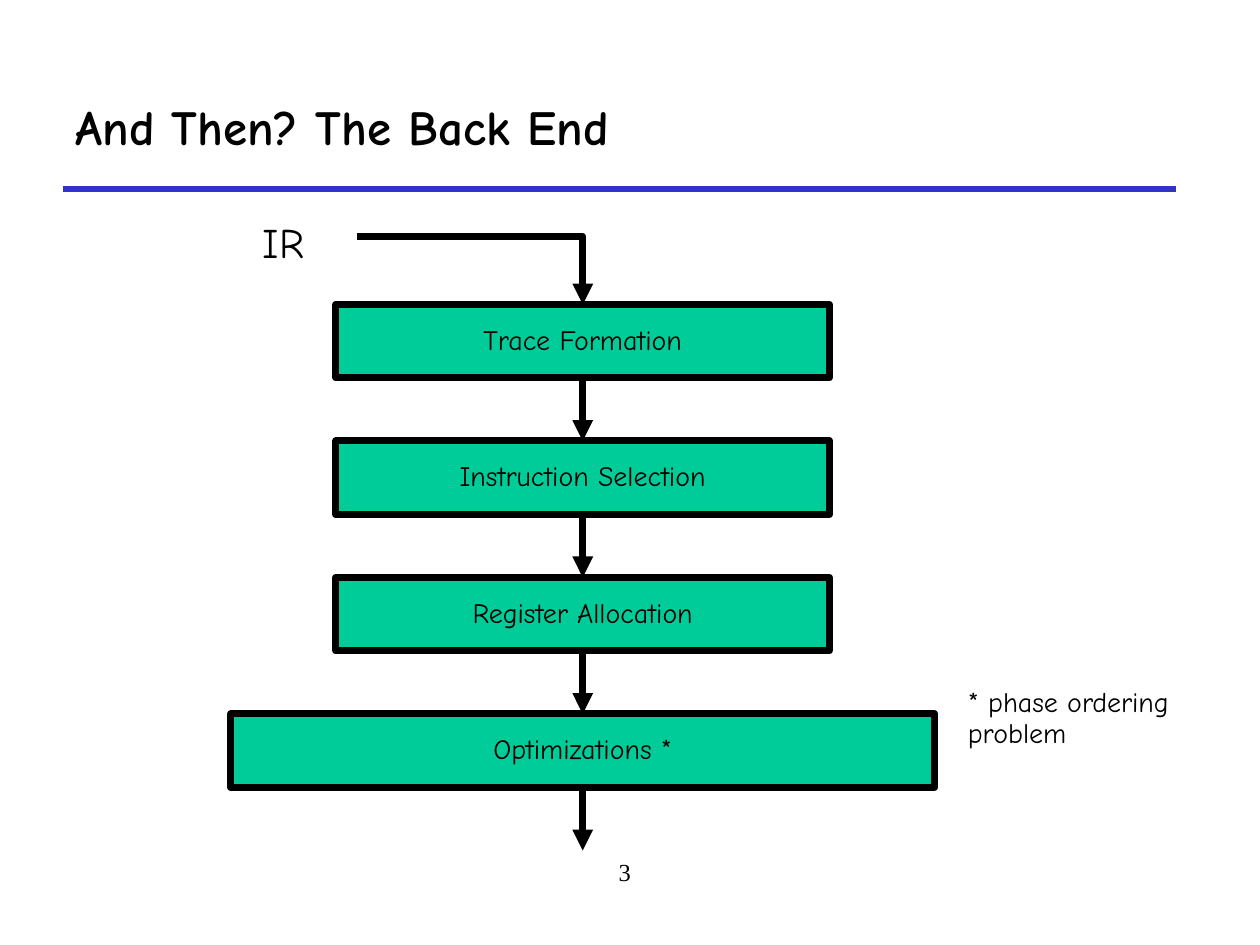
from lxml import etree
from pptx import Presentation
from pptx.dml.color import RGBColor
from pptx.enum.shapes import MSO_CONNECTOR as Conn, MSO_SHAPE as Shape
from pptx.enum.text import MSO_ANCHOR as Anchor, PP_ALIGN as Align
from pptx.oxml.ns import qn
from pptx.util import Pt

TOP, BOTTOM = 0, 2


def color(code):
    return RGBColor.from_string(code)


class Deck:
    font, ink, fill, rule = "Comic Neue", "000000", "00CC99", "3333CC"

    def __init__(self, wide, high):
        self.prs = Presentation()
        self.prs.slide_width, self.prs.slide_height = Pt(wide), Pt(high)
        self.slide = self.prs.slides.add_slide(self.prs.slide_layouts[6])

    def letter(self, frame, text, size, align=Align.LEFT, font=None,
               bold=False, space=1.0):
        """Fill a text frame with one styled paragraph."""
        para = frame.paragraphs[0]
        para.text = text
        para.alignment, para.line_spacing = align, space
        face = para.font
        face.name, face.size, face.bold = font or self.font, Pt(size), bold
        face.color.rgb = color(self.ink)

    def label(self, text, left, top, wide, high, size,
              anchor=Anchor.TOP, **style):
        box = self.slide.shapes.add_textbox(
            Pt(left), Pt(top), Pt(wide), Pt(high))
        box.text_frame.word_wrap = True
        box.text_frame.vertical_anchor = anchor
        self.letter(box.text_frame, text, size, **style)

    def stage(self, text, mid, top, wide, high):
        """Add a box centred on the x position mid."""
        box = self.slide.shapes.add_shape(
            Shape.RECTANGLE, Pt(mid - wide / 2), Pt(top), Pt(wide), Pt(high))
        box.shadow.inherit = False
        box.fill.solid()
        box.fill.fore_color.rgb = color(self.fill)
        box.line.color.rgb, box.line.width = color(self.ink), Pt(4)
        box.text_frame.word_wrap = False
        box.text_frame.vertical_anchor = Anchor.MIDDLE
        self.letter(box.text_frame, text, 16, Align.CENTER, space=0.9)
        return box

    def line(self, start, end, code, width, kind=Conn.STRAIGHT):
        link = self.slide.shapes.add_connector(
            kind, *(Pt(n) for n in (*start, *end)))
        link.line.color.rgb, link.line.width = color(code), Pt(width)
        etree.SubElement(link._element.spPr, qn("a:effectLst"))
        return link

    def arrow(self, start, end, kind=Conn.STRAIGHT):
        link = self.line(start, end, self.ink, 4, kind)
        etree.SubElement(link._element.spPr.find(qn("a:ln")),
                         qn("a:tailEnd"), type="triangle")
        return link

    def elbow(self, start, end):
        """Add an arrow that runs across, then down."""
        link = self.arrow(start, end, Conn.ELBOW)
        link._element.spPr.find(qn("a:prstGeom")).set("prst", "bentConnector2")


def main():
    deck = Deck(720, 540)
    deck.line((36, 108), (672, 108), deck.rule, 3)
    deck.label("3", 222, 486, 270, 36, 14, align=Align.CENTER,
               font="Times New Roman")
    deck.label("And Then? The Back End", 36, 36, 636, 72, 28,
               Anchor.MIDDLE, bold=True)
    deck.label("IR", 120, 120, 84, 30, 24, align=Align.CENTER)

    mid, first, step, high = 333, 174, 78, 42
    names = ["Trace Formation", "Instruction Selection",
             "Register Allocation", "Optimizations *"]
    wides = [282, 282, 282, 402]
    boxes = [deck.stage(name, mid, first + i * step, wide, high)
             for i, (name, wide) in enumerate(zip(names, wides))]

    deck.elbow((204, 135), (mid, first))
    for i, box in enumerate(boxes):
        base = first + i * step + high
        link = deck.arrow((mid, base), (mid, base + step - high))
        link.begin_connect(box, BOTTOM)
        if i + 1 < len(boxes):
            link.end_connect(boxes[i + 1], TOP)

    deck.label("* phase ordering problem", 546, 390, 156, 42, 16, space=0.9)
    deck.prs.save("out.pptx")


if __name__ == "__main__":
    main()
